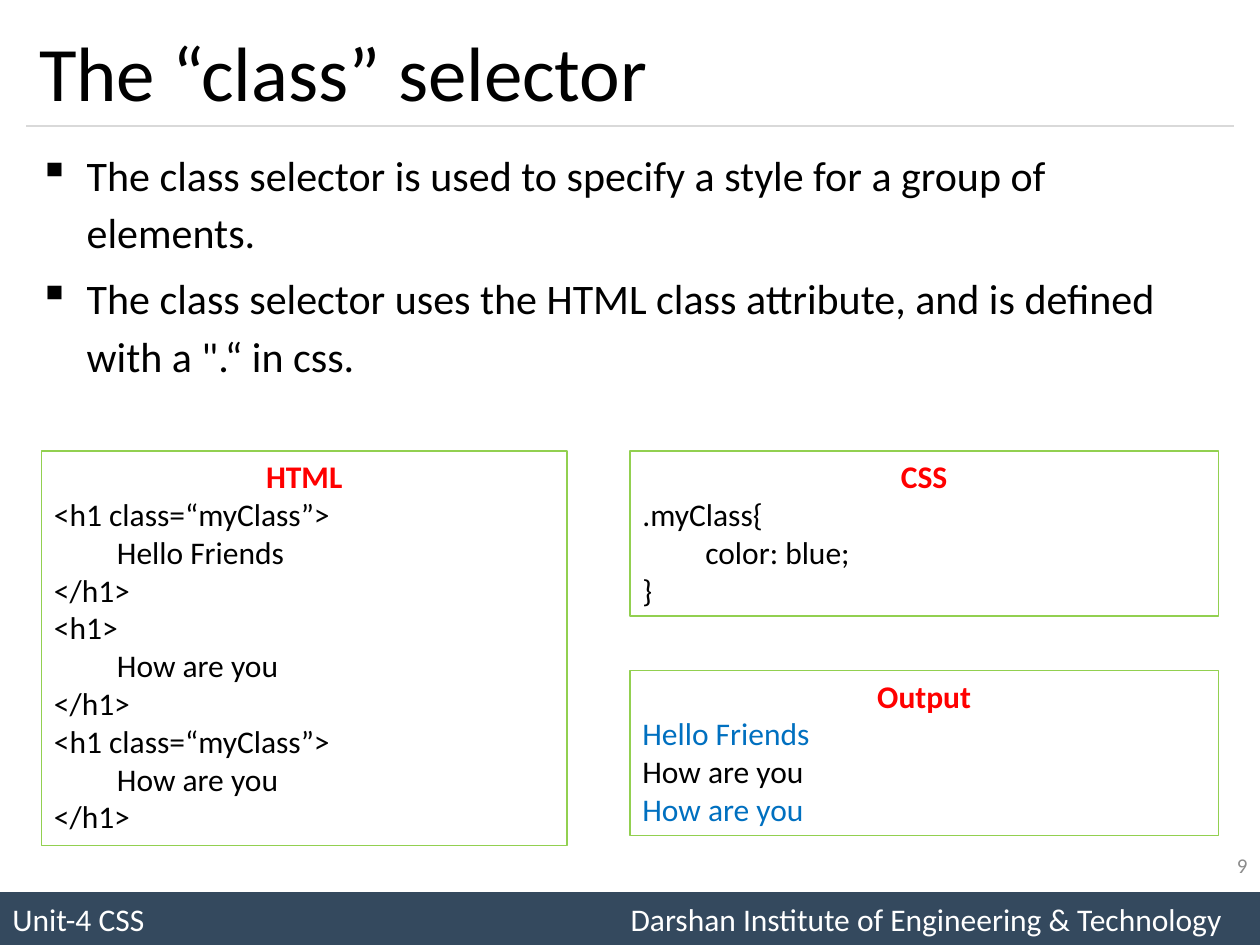
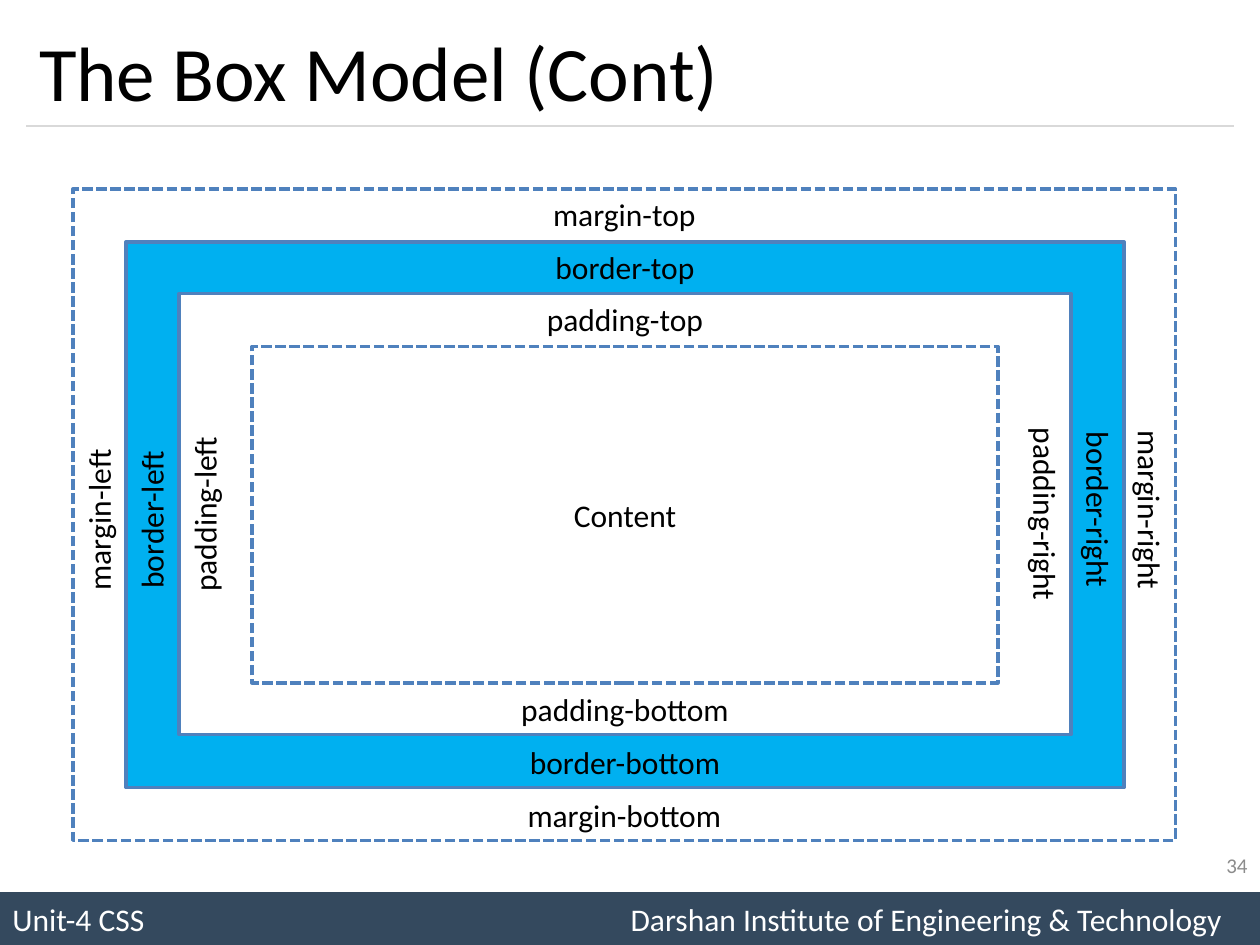
from lxml.etree import SubElement
from pptx import Presentation
from pptx.dml.color import RGBColor
from pptx.enum.dml import MSO_LINE_DASH_STYLE as Dash
from pptx.enum.shapes import MSO_CONNECTOR as Connector, MSO_SHAPE as Shape
from pptx.enum.text import MSO_ANCHOR as Anchor, PP_ALIGN as Align
from pptx.oxml.ns import qn
from pptx.util import Inches, Pt

# Content
FONT = "Calibri"
COLORS = {
    "text": "000000", "white": "FFFFFF", "band": "34495E", "rule": "D9D9D9",
    "number": "8C8C8C", "heading": "FF0000", "code_line": "92D050",
    "styled": "0070C0", "box_line": "4F81BD", "border": "00B0F0",
}
FOOTER = "Unit-4 CSS\tDarshan Institute of Engineering & Technology"

SELECTOR_POINTS = [
    "The class selector is used to specify a style for a group of elements.",
    "The class selector uses the HTML class attribute, and is defined with a \".“ in css.",
]
# Heading, (left, top, width, height), lines, indexes of the lines the class styles
CODE_PANELS = [
    ("HTML", (0.33, 3.58, 4.17, 3.13), [
        "<h1 class=“myClass”>", "\tHello Friends", "</h1>",
        "<h1>", "\tHow are you", "</h1>",
        "<h1 class=“myClass”>", "\tHow are you", "</h1>",
    ], ()),
    ("CSS", (5, 3.58, 4.67, 1.31), [".myClass{", "\tcolor: blue;", "}"], ()),
    ("Output", (5, 5.32, 4.67, 1.31),
     ["Hello Friends", "How are you", "How are you"], (0, 2)),
]
# Name, (left, top, width, height), fill, dashed, vertical shift of side labels
BOX_LAYERS = [
    ("margin", (0.58, 1.5, 8.75, 5.17), None, True, 0.04),
    ("border", (1, 1.92, 7.92, 4.33), "border", False, 0.04),
    ("padding", (1.42, 2.33, 7.08, 3.5), "white", False, 0),
]
CONTENT_AREA = (2, 2.75, 5.92, 2.67)
LABEL_WIDTH, LABEL_HEIGHT = 2.25, 0.4


# Shared helpers
def rgb(name):
    return RGBColor.from_string(COLORS[name])


def place(area):
    return [Inches(length) for length in area]


def write(frame, text, size=18, color="text", bold=False, align=Align.LEFT,
          anchor=Anchor.TOP, first=True, bullet=None, tab=None,
          spacing=None, before=0):
    """Write one paragraph: the first of the frame, or one added below."""
    frame.word_wrap = True
    frame.vertical_anchor = anchor
    para = frame.paragraphs[0] if first else frame.add_paragraph()
    para.alignment = align
    if spacing:
        para.line_spacing = spacing
    para.space_before = Pt(0 if first else before)
    props = para._p.get_or_add_pPr()
    if bullet:
        props.set("marL", str(Inches(0.38)))
        props.set("indent", str(-Inches(0.38)))
        SubElement(props, qn("a:buChar"), char=bullet)
    if tab:
        stops = SubElement(props, qn("a:tabLst"))
        SubElement(stops, qn("a:tab"), pos=str(Inches(tab)), algn="r")
    span = para.add_run()
    span.text = text
    font = span.font
    font.name, font.size, font.bold = FONT, Pt(size), bold
    font.color.rgb = rgb(color)


def add_box(page, area, fill=None, line=None, width=0.75, dashed=False):
    box = page.shapes.add_shape(Shape.RECTANGLE, *place(area))
    box.shadow.inherit = False
    if fill:
        box.fill.solid()
        box.fill.fore_color.rgb = rgb(fill)
    else:
        box.fill.background()
    if line:
        box.line.color.rgb = rgb(line)
        box.line.width = Pt(width)
        if dashed:
            box.line.dash_style = Dash.SQUARE_DOT
    else:
        box.line.fill.background()
    return box


def add_text(page, area, text, **text_format):
    box = page.shapes.add_textbox(*place(area))
    write(box.text_frame, text, **text_format)
    return box


def add_page(deck, title, number):
    """Add a page with its title, rule, footer band and number."""
    page = deck.slides.add_slide(deck.slide_layouts[5])
    heading = page.shapes.title
    heading.left, heading.top, heading.width, heading.height = place((0.21, 0.12, 9.58, 0.88))
    write(heading.text_frame, title, size=44, anchor=Anchor.MIDDLE)

    rule = page.shapes.add_connector(Connector.STRAIGHT, *place((0.21, 1, 9.79, 1)))
    rule.line.color.rgb = rgb("rule")
    rule.line.width = Pt(0.75)
    SubElement(rule._element.spPr, qn("a:effectLst"))

    band = add_box(page, (0, 7.08, 10, 0.42), fill="band")
    write(band.text_frame, FOOTER, color="white", anchor=Anchor.MIDDLE, tab=9.6)
    add_text(page, (7.67, 6.67, 2.33, 0.4), str(number), size=12, color="number",
             align=Align.RIGHT, anchor=Anchor.MIDDLE)
    return page


def add_label(page, text, center_x, center_y, rotation=0):
    area = (center_x - LABEL_WIDTH / 2, center_y - LABEL_HEIGHT / 2,
            LABEL_WIDTH, LABEL_HEIGHT)
    add_text(page, area, text, align=Align.CENTER).rotation = rotation


# Pages
def build_class_selector(deck):
    page = add_page(deck, "The “class” selector", 9)
    body = page.shapes.add_textbox(*place((0.21, 1.08, 9.58, 2.25)))
    for index, point in enumerate(SELECTOR_POINTS):
        write(body.text_frame, point, size=24, bullet="▪", spacing=1.14,
              before=4.8, first=index == 0)

    for heading, area, lines, styled in CODE_PANELS:
        frame = add_box(page, area, line="code_line").text_frame
        write(frame, heading, color="heading", bold=True, align=Align.CENTER)
        for index, line in enumerate(lines):
            write(frame, line, first=False, color="styled" if index in styled else "text")


def build_box_model(deck):
    page = add_page(deck, "The Box Model (Cont)", 34)
    for name, area, fill, dashed, shift in BOX_LAYERS:
        add_box(page, area, fill, "box_line", 2, dashed)
        left, top, width, height = area
        middle_x, middle_y = left + width / 2, top + height / 2
        inset = LABEL_HEIGHT / 2
        add_label(page, f"{name}-top", middle_x, top + inset)
        add_label(page, f"{name}-bottom", middle_x, top + height - inset)
        add_label(page, f"{name}-left", left + inset, middle_y + shift, 270)
        add_label(page, f"{name}-right", left + width - inset, middle_y - shift, 90)

    content = add_box(page, CONTENT_AREA, line="box_line", width=2, dashed=True)
    write(content.text_frame, "Content", align=Align.CENTER, anchor=Anchor.MIDDLE)


def main():
    deck = Presentation()
    deck.slide_width, deck.slide_height = Inches(10), Inches(7.5)
    build_class_selector(deck)
    build_box_model(deck)
    deck.save("out.pptx")


if __name__ == "__main__":
    main()
